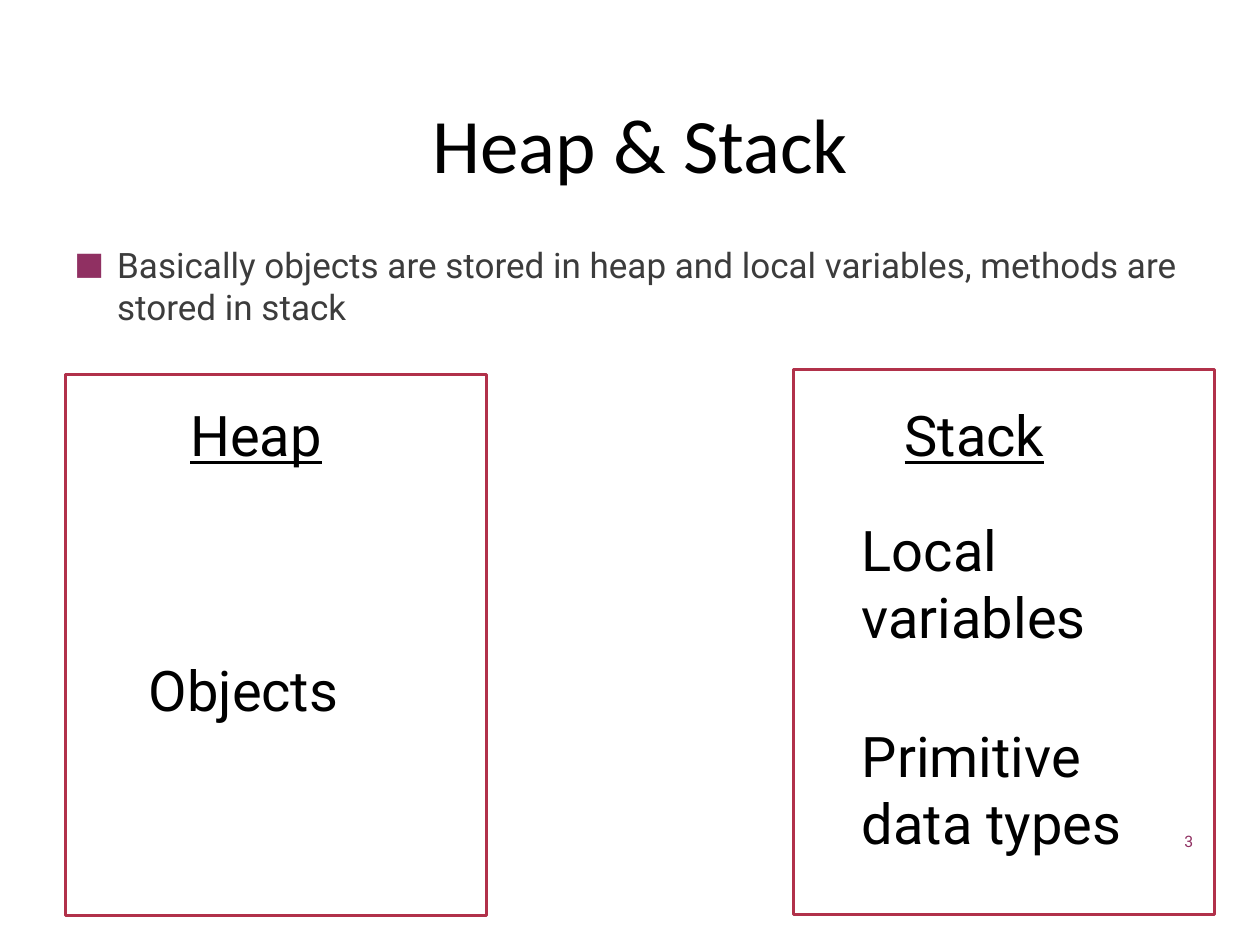
"""Build the Heap & Stack slide."""
from lxml.etree import SubElement
from pptx import Presentation
from pptx.dml.color import RGBColor
from pptx.enum.shapes import MSO_SHAPE
from pptx.enum.text import MSO_ANCHOR, PP_ALIGN
from pptx.oxml.ns import qn
from pptx.util import Inches, Pt

deck = Presentation()
deck.slide_width, deck.slide_height = Inches(10), Inches(7.5)
page = deck.slides.add_slide(deck.slide_layouts[6])


def area(left, top, width, height):
    """Turn percentages of the slide into lengths."""
    across, down = deck.slide_width / 100, deck.slide_height / 100
    return [int(share) for share in (left * across, top * down, width * across, height * down)]


def add_text(place, lines, size, color="000000", font="Roboto", underline=False, wrap=True, gap=0):
    """Add a text box without side margins and return its frame."""
    frame = page.shapes.add_textbox(*area(*place)).text_frame
    frame.margin_left = frame.margin_right = frame.margin_bottom = 0
    frame.margin_top = Inches(0.01)
    frame.word_wrap = wrap
    frame.text = "\n".join(lines)
    for number, para in enumerate(frame.paragraphs):
        para.space_before = Pt(gap if number else 1)
        for span in para.runs:
            span.font.size = Pt(size)
            span.font.name = font
            span.font.underline = underline
            span.font.color.rgb = RGBColor.from_string(color)
    return frame


title = add_text((5.2, 8.8, 91.2, 11.2), ["Heap & Stack"], 44, font="Calibri")
title.margin_top = Inches(0.1)
title.vertical_anchor = MSO_ANCHOR.MIDDLE
title.paragraphs[0].alignment = PP_ALIGN.CENTER
title.paragraphs[0].space_before = Pt(7.2)

summary = add_text(
    (5.8, 25.6, 89.1, 9.2),
    ["Basically objects are stored in heap and local variables, methods are stored in stack"],
    20, "3C3C3C")
bullet = summary.paragraphs[0]._p.get_or_add_pPr()
bullet.set("marL", str(Inches(0.35)))
bullet.set("indent", str(Inches(-0.34)))
bullet_color = SubElement(bullet, qn("a:buClr"))
SubElement(bullet_color, qn("a:srgbClr"), val="903062")
SubElement(bullet, qn("a:buSzPct"), val="90000")
SubElement(bullet, qn("a:buFont"), typeface="Roboto")
SubElement(bullet, qn("a:buChar"), char="■")

add_text((94, 87.87, 0.5, 2.13), ["3"], 9, "903062", wrap=False)

memory_areas = [
    ("Heap", (5.2, 39.6, 33.4, 57.3), (15.1, 42.3, 12.5, 7.3),
     ["Objects"], (11.8, 69.2, 15.9, 7.3)),
    ("Stack", (63, 39.1, 33.4, 57.7), (71.8, 42.3, 13.3, 7.3),
     ["Local variables", "Primitive data types"], (68.4, 54.4, 21.6, 36.4)),
]
for name, frame_place, name_place, contents, contents_place in memory_areas:
    box = page.shapes.add_shape(MSO_SHAPE.RECTANGLE, *area(*frame_place))
    box.shadow.inherit = False
    box.fill.background()
    box.line.color.rgb = RGBColor.from_string("B1314A")
    box.line.width = Pt(1.8)
    add_text(name_place, [name], 32, underline=True, wrap=False)
    add_text(contents_place, contents, 32, gap=41)

deck.save("out.pptx")
